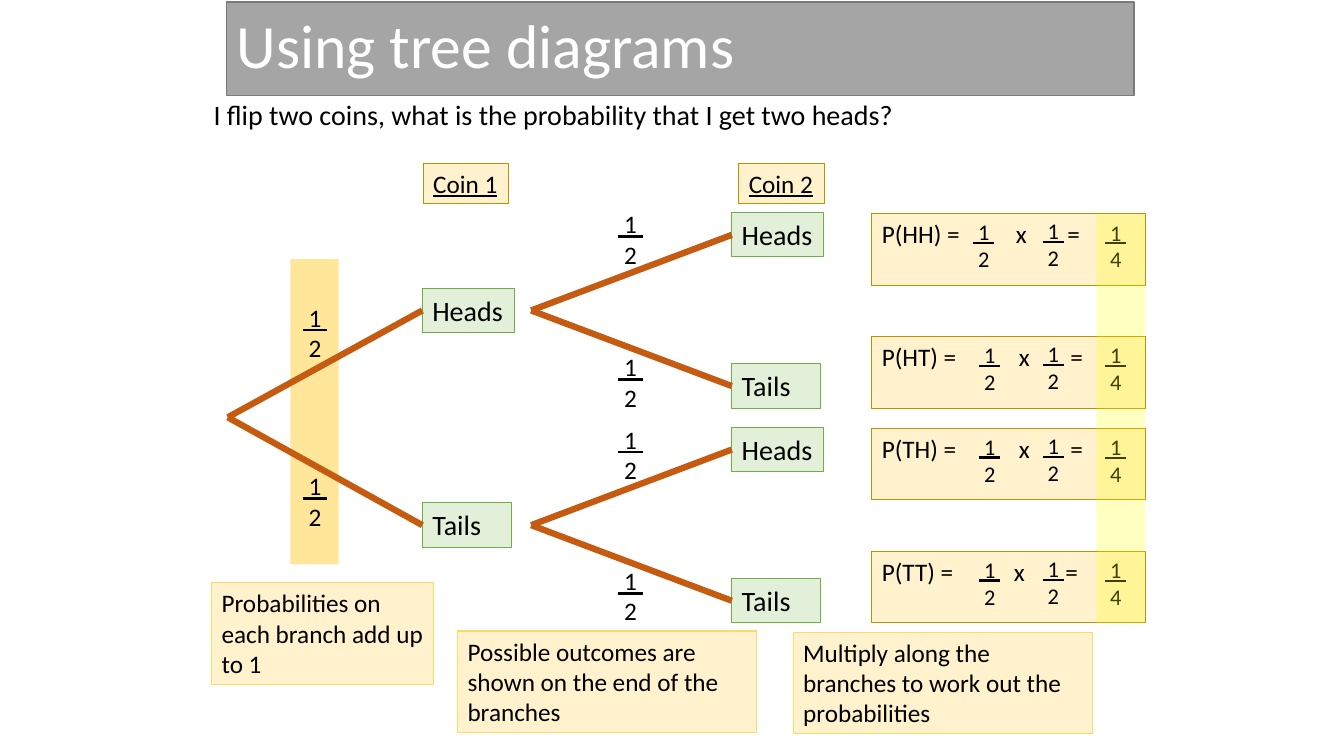
from lxml.etree import SubElement
from pptx import Presentation
from pptx.dml.color import RGBColor
from pptx.enum.shapes import MSO_CONNECTOR, MSO_SHAPE
from pptx.enum.text import MSO_ANCHOR, PP_ALIGN
from pptx.oxml.ns import qn
from pptx.util import Inches, Pt

COLORS = {
    "black": "000000", "white": "FFFFFF", "gray": "A5A5A5", "edge": "7A7A7A",
    "green": "E2F0D9", "leaf": "70AD47", "cream": "FFF2CC", "gold": "BF9000",
    "amber": "FFD966", "band": "FFE699", "glow": "FFFF00", "branch": "C55A11",
}
WIDTH, HEIGHT = Inches(13.33), Inches(7.5)
COL, ROW = WIDTH / 80, HEIGHT / 45  # grid of 80 columns and 45 rows
NODE_H = 2.64


def color(name):
    return RGBColor.from_string(COLORS[name])


def place(col, row, wide, high):
    return [round(n) for n in (col * COL, row * ROW, wide * COL, high * ROW)]


def style(par, size, ink="black", under=False):
    for run in par.runs:
        font = run.font
        font.name, font.size, font.underline = "Calibri", Pt(size), under
        font.color.rgb = color(ink)


def rect(slide, area, fill, edge=None, weight=0.75):
    shape = slide.shapes.add_shape(MSO_SHAPE.RECTANGLE, *place(*area))
    shape.shadow.inherit = False
    shape.fill.solid()
    shape.fill.fore_color.rgb = color(fill)
    if edge:
        shape.line.color.rgb = color(edge)
        shape.line.width = Pt(weight)
    else:
        shape.line.fill.background()
    return shape


def write(shape, text, size, ink="black", under=False, tight=False):
    """Put left-aligned text at the top; tight drops the right inset."""
    frame = shape.text_frame
    frame.word_wrap = True
    frame.vertical_anchor = MSO_ANCHOR.TOP
    if tight:
        frame.margin_right = 0
    par = frame.paragraphs[0]
    par.text = text
    par.alignment = PP_ALIGN.LEFT
    style(par, size, ink, under)
    return par


def half(slide, col, row, size=18, low="2"):
    """Stack an underlined 1 over the lower number."""
    area = (2.7, 4.26) if size == 18 else (2.52, 3.84)
    frame = slide.shapes.add_textbox(*place(col, row, *area)).text_frame
    frame.word_wrap = False
    frame.text = f" 1 \n{low}"
    for par, under in zip(frame.paragraphs, (True, False)):
        par.alignment = PP_ALIGN.CENTER
        style(par, size, under=under)


def node(slide, text, col, row):
    wide = 5.46 if text == "Heads" else 5.28
    box = rect(slide, (col, row, wide, NODE_H), "green", "leaf")
    write(box, text, 20, tight=True)
    return box


def branch(slide, col, row, box):
    """Draw a line from a grid point to the left side of a box."""
    x, y = round(col * COL), round(row * ROW)
    line = slide.shapes.add_connector(MSO_CONNECTOR.STRAIGHT, x, y, x, y)
    line.end_connect(box, 1)
    line.line.color.rgb = color("branch")
    line.line.width = Pt(4.5)
    SubElement(line._element.spPr, qn("a:effectLst"))


def result(slide, name, row, first, cross):
    """Show one product: first is a column, cross the tab of the times sign."""
    box = rect(slide, (51.9, row, 16.26, 4.26), "cream", "gold")
    par = write(box, "", 18)
    tabs = SubElement(par._p.get_or_add_pPr(), qn("a:tabLst"))
    for stop in (cross, cross + 3.06):
        SubElement(tabs, qn("a:tab"), pos=str(round(stop * COL)), algn="l")
    par.text = f"P({name}) =\tx\t="
    style(par, 18)
    half(slide, first, row - 0.03, 16)
    half(slide, 61.44, row - 0.06, 16)
    half(slide, 65.16, row, 16, "4")


def main():
    deck = Presentation()
    deck.slide_width, deck.slide_height = WIDTH, HEIGHT
    slide = deck.slides.add_slide(deck.slide_layouts[6])

    rect(slide, (17.28, 15.42, 2.88, 18.18), "band")
    ask = slide.shapes.add_textbox(*place(12.12, 5.52, 55.62, 2.64))
    write(ask, "I flip two coins, what is the probability that I get two heads?", 20)

    for text, col in (("Coin 1", 25.2), ("Coin 2", 43.98)):
        box = rect(slide, (col, 9.72, 5.1, 2.4), "cream", "gold")
        write(box, text, 18, under=True, tight=True)

    for col, row in ((17.4, 17.7), (17.4, 27.72), (36.18, 12.12),
                     (36.18, 20.64), (36.18, 24.96), (36.18, 33.36)):
        half(slide, col, row)

    for item in (("HH", 12.72, 57.3, 7.98), ("HT", 20.04, 57.66, 8.16),
                 ("TH", 25.5, 57.66, 8.16), ("TT", 32.82, 57.66, 7.86)):
        result(slide, *item)
    glow = rect(slide, (65.28, 12.78, 2.88, 24.3), "glow")
    tint = glow.fill._xPr.find(qn("a:solidFill"))[0]
    SubElement(tint, qn("a:alpha"), val="25000")

    for text, row, ends in (("Heads", 17.16, (12.66, 21.66)),
                            ("Tails", 29.94, (25.44, 34.44))):
        branch(slide, 13.56, 24.84, node(slide, text, 25.14, row))
        for face, end in zip(("Heads", "Tails"), ends):
            leaf = node(slide, face, 43.56, end)
            branch(slide, 31.62, row + NODE_H / 2, leaf)

    for text, col, row, wide in (
        ("Probabilities on each branch add up to 1", 12.6, 34.68, 13.2),
        ("Possible outcomes are shown on the end of the branches", 27.24, 37.56, 17.82),
        ("Multiply along the branches to work out the probabilities", 47.22, 37.62, 17.82),
    ):
        write(rect(slide, (col, row, wide, 6.06), "cream", "amber"), text, 18)

    title = rect(slide, (13.5, 0.12, 54, 5.58), "gray", "edge", 1)
    par = write(title, "Using tree diagrams", 44, "white")
    par.line_spacing = 0.9
    title.text_frame.vertical_anchor = MSO_ANCHOR.MIDDLE
    deck.save("out.pptx")


if __name__ == "__main__":
    main()
